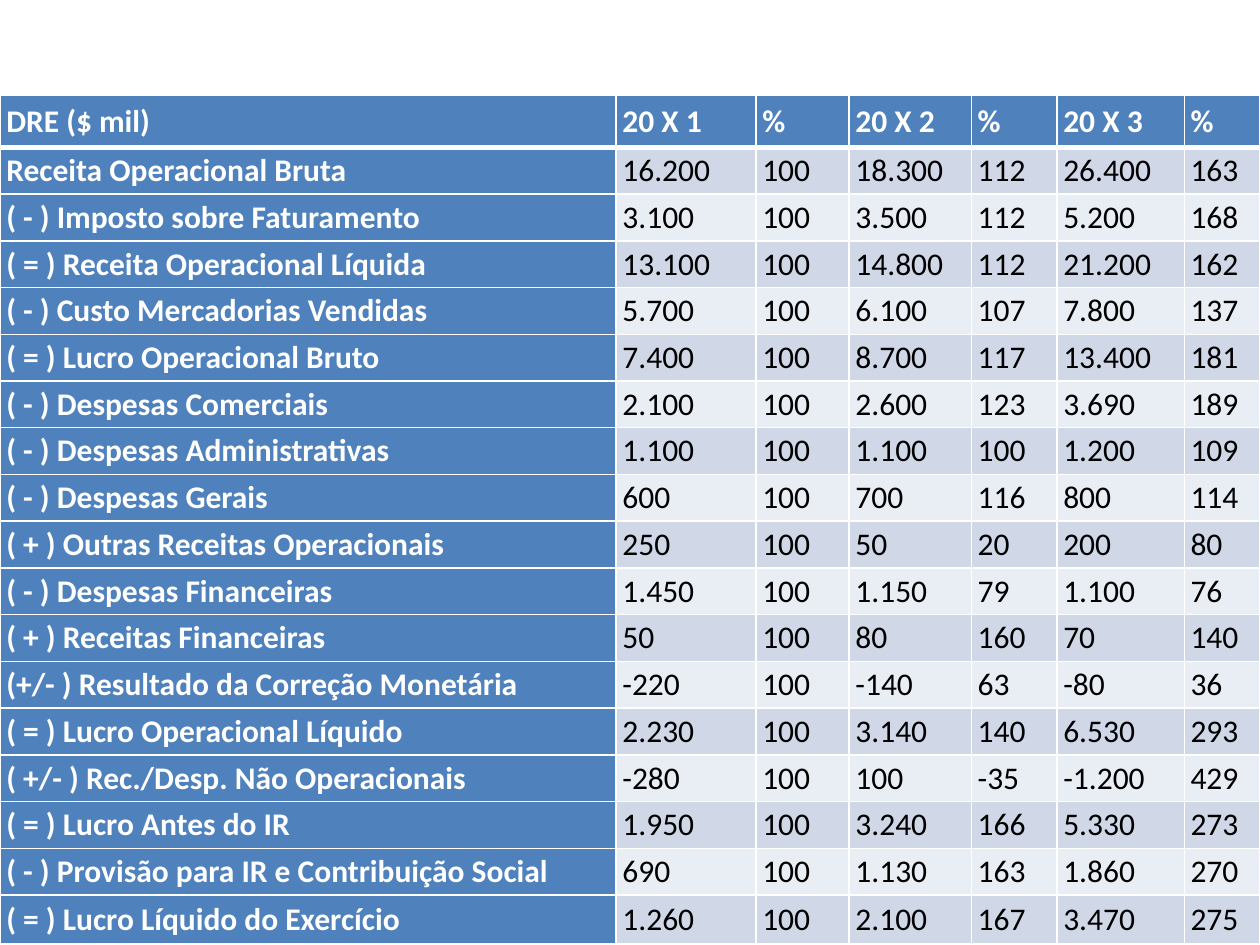
from lxml import etree
from pptx import Presentation, util as u
from pptx.dml.color import RGBColor
from pptx.enum import text
from pptx.oxml import ns

COLORS = {
    "white": "FFFFFF",
    "black": "000000",
    "heading": "4F81BD",
    "band_dark": "D0D8E8",
    "band_light": "E9EDF4",
}

HEADER = ["DRE ($ mil)", "20 X 1", "%", "20 X 2", "%", "20 X 3", "%"]

# Label, then value and index for each of the three years
STATEMENT = [
    ("Receita Operacional Bruta", "16.200 100 18.300 112 26.400 163"),
    ("( - ) Imposto sobre Faturamento", "3.100 100 3.500 112 5.200 168"),
    ("( = ) Receita Operacional Líquida", "13.100 100 14.800 112 21.200 162"),
    ("( - ) Custo Mercadorias Vendidas", "5.700 100 6.100 107 7.800 137"),
    ("( = ) Lucro Operacional Bruto", "7.400 100 8.700 117 13.400 181"),
    ("( - ) Despesas Comerciais", "2.100 100 2.600 123 3.690 189"),
    ("( - ) Despesas Administrativas", "1.100 100 1.100 100 1.200 109"),
    ("( - ) Despesas Gerais", "600 100 700 116 800 114"),
    ("( + ) Outras Receitas Operacionais", "250 100 50 20 200 80"),
    ("( - ) Despesas Financeiras", "1.450 100 1.150 79 1.100 76"),
    ("( + ) Receitas Financeiras", "50 100 80 160 70 140"),
    ("(+/- ) Resultado da Correção Monetária", "-220 100 -140 63 -80 36"),
    ("( = ) Lucro Operacional Líquido", "2.230 100 3.140 140 6.530 293"),
    ("( +/- ) Rec./Desp. Não Operacionais", "-280 100 100 -35 -1.200 429"),
    ("( = ) Lucro Antes do IR", "1.950 100 3.240 166 5.330 273"),
    ("( - ) Provisão para IR e Contribuição Social", "690 100 1.130 163 1.860 270"),
    ("( = ) Lucro Líquido do Exercício", "1.260 100 2.100 167 3.470 275"),
]


class SlideBuilder:
    """Holds the style and the current slide."""

    font = "Calibri"
    size = 18
    side_margin = 0.05
    thin, thick = 1, 3

    def __init__(self, presentation):
        self.slide = presentation.slides.add_slide(presentation.slide_layouts[6])

    def table(self, rows, left, top, widths, heights):
        frame = self.slide.shapes.add_table(
            len(rows), len(widths), u.Inches(left), u.Inches(top),
            u.Inches(sum(widths)), u.Inches(sum(heights)))
        table = frame.table
        table.first_row = table.first_col = table.horz_banding = True
        for column, width in zip(table.columns, widths):
            column.width = u.Inches(width)
        for row, height in zip(table.rows, heights):
            row.height = u.Inches(height)
        for row_index, row in enumerate(rows):
            for column_index, wording in enumerate(row):
                self.cell(table, row_index, column_index, wording)

    def cell(self, table, row_index, column_index, wording):
        cell = table.cell(row_index, column_index)
        heading = row_index == 0 or column_index == 0
        band = "band_dark" if row_index % 2 else "band_light"
        cell.fill.solid()
        cell.fill.fore_color.rgb = self.color("heading" if heading else band)
        cell.margin_left = cell.margin_right = u.Inches(self.side_margin)
        cell.margin_top = cell.margin_bottom = 0
        cell.vertical_anchor = text.MSO_ANCHOR.MIDDLE
        self.run(cell.text_frame.paragraphs[0], wording, heading)
        # The thick rule runs between the header and the first row
        self.borders(cell, {
            "L": self.thin,
            "R": self.thin,
            "T": self.thick if row_index == 1 else self.thin,
            "B": self.thick if row_index == 0 else self.thin,
        })

    def run(self, paragraph, wording, heading):
        paragraph.alignment = text.PP_ALIGN.JUSTIFY
        run = paragraph.add_run()
        run.text = wording
        run.font.name = self.font
        run.font.size = u.Pt(self.size)
        run.font.bold = heading
        run.font.color.rgb = self.color("white" if heading else "black")

    def borders(self, cell, widths):
        properties = cell._tc.get_or_add_tcPr()
        for position, (side, width) in enumerate(widths.items()):
            line = etree.Element(ns.qn(f"a:ln{side}"), w=str(u.Pt(width)))
            fill = etree.SubElement(line, ns.qn("a:solidFill"))
            etree.SubElement(fill, ns.qn("a:srgbClr"), val=COLORS["white"])
            properties.insert(position, line)

    def color(self, name):
        return RGBColor.from_string(COLORS[name])


def main():
    presentation = Presentation()
    slide_width, slide_height = 10, 7.5
    presentation.slide_width = u.Inches(slide_width)
    presentation.slide_height = u.Inches(slide_height)
    builder = SlideBuilder(presentation)

    # Grid: the label column and the body rows take the space that is left
    top, header_height, last_height = 0.76, 0.41, 0.39
    year_widths = [1.11, 0.74, 0.97, 0.68, 1.01, 0.6]
    widths = [slide_width - sum(year_widths)] + year_widths
    body_count = len(STATEMENT) - 1
    body_height = (slide_height - top - header_height - last_height) / body_count
    heights = [header_height] + [body_height] * body_count + [last_height]

    # Income statement
    rows = [HEADER] + [[label] + values.split() for label, values in STATEMENT]
    builder.table(rows, 0, top, widths, heights)

    presentation.save("out.pptx")


if __name__ == "__main__":
    main()
